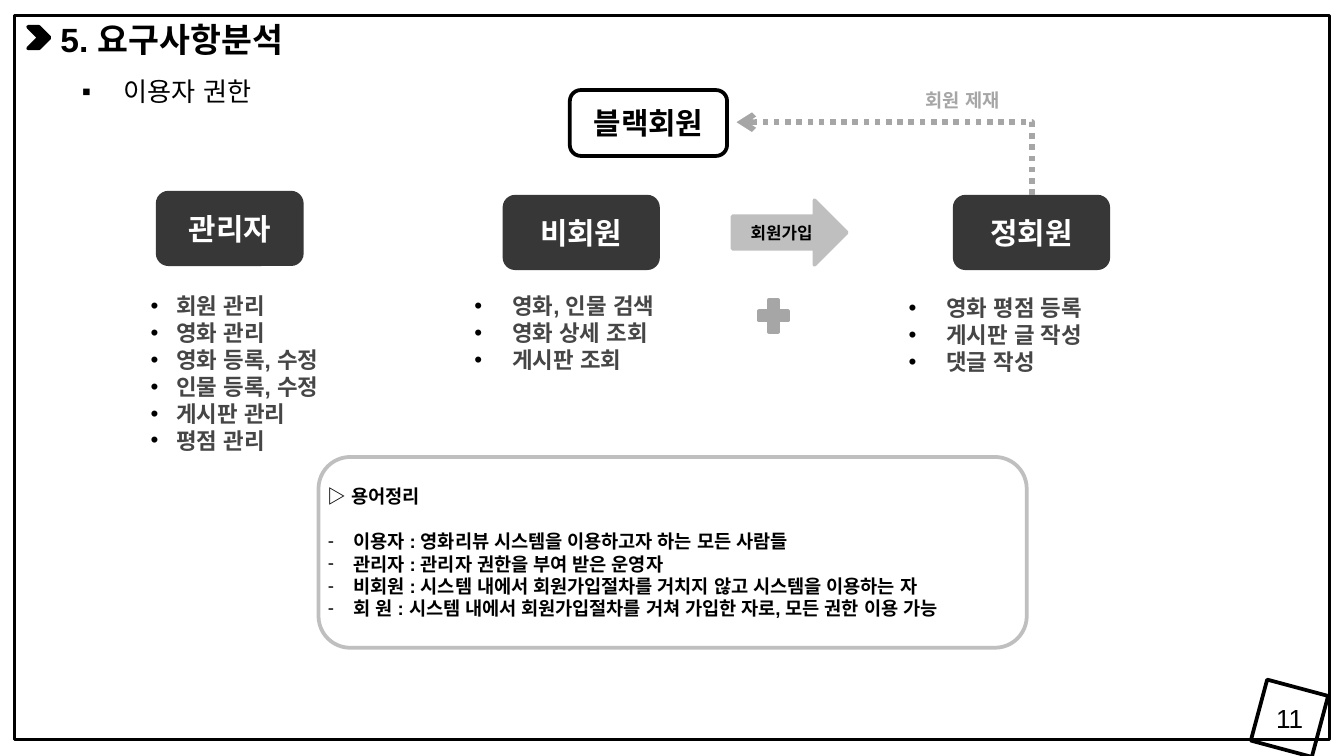
import pptx
import pptx.dml.color
import pptx.enum.dml
import pptx.enum.shapes
import pptx.enum.text
import pptx.oxml
import pptx.oxml.ns
import pptx.util

THEME = {
    "black": "000000", "white": "FFFFFF", "dark": "373737", "body": "464646",
    "gray": "A6A6A6", "light": "BFBFBF",
    "font": "Arial", "korean": "Noto Sans CJK KR",
    "title": 18, "role": 16, "subtitle": 14, "list": 12, "note": 10, "label": 9,
}
COLUMNS, ROWS = 100, 56.25

prs = pptx.Presentation()
prs.slide_width = pptx.util.Inches(10)
prs.slide_height = prs.slide_width * 9 // 16
slide = prs.slides.add_slide(prs.slide_layouts.get_by_name("Comparison"))
shapes = slide.shapes
kinds = pptx.enum.shapes.MSO_SHAPE
align = pptx.enum.text.PP_ALIGN
anchors = pptx.enum.text.MSO_ANCHOR
rgb = pptx.dml.color.RGBColor.from_string
namespace = pptx.oxml.ns.nsdecls("a")


def grid(left, top, width, height):
    column, row = prs.slide_width / COLUMNS, prs.slide_height / ROWS
    return [round(n) for n in (left * column, top * row, width * column, height * row)]


def write(shape, lines, size="list", color="black", font="font", bold=True,
          alignment=align.LEFT, anchor=anchors.TOP, inset=None, wrap=True,
          bullet=None, margin=0, hang=0, first_bullet=0, gap=0):
    frame = shape.text_frame
    frame.word_wrap = wrap
    frame.auto_size = pptx.enum.text.MSO_AUTO_SIZE.NONE
    frame.vertical_anchor = anchor
    if inset is not None:
        frame.margin_left = frame.margin_right = pptx.util.Inches(inset)
        frame.margin_top = frame.margin_bottom = pptx.util.Inches(inset)
    for index, line in enumerate(lines):
        paragraph = frame.add_paragraph() if index else frame.paragraphs[0]
        paragraph.alignment = alignment
        paragraph.space_before = pptx.util.Pt(gap if index == first_bullet else 0)
        properties = paragraph._p.get_or_add_pPr()
        bulleted = bullet and index >= first_bullet
        properties.set("marL", str(pptx.util.Inches(margin if bulleted else 0)))
        properties.set("indent", str(pptx.util.Inches(-hang if bulleted else 0)))
        marks = [f'<a:buClr {namespace}><a:srgbClr val="{THEME["black"]}"/></a:buClr>',
                 f'<a:buFont {namespace} typeface="{THEME["font"]}"/>',
                 f'<a:buChar {namespace} char="{bullet}"/>']
        for mark in marks if bulleted else [f"<a:buNone {namespace}/>"]:
            properties.append(pptx.oxml.parse_xml(mark))
        run = paragraph.add_run()
        run.text = line
        run.font.name = THEME[font]
        run.font.size = pptx.util.Pt(THEME[size])
        run.font.bold = bold
        run.font.color.rgb = rgb(THEME[color])
        run.font._element.append(
            pptx.oxml.parse_xml(f'<a:ea {namespace} typeface="{THEME["font"]}"/>'))


title, subtitle, admin_rights, guest_rights, member_rights = slide.placeholders
wide_bullet = dict(bullet="•", margin=0.36, hang=0.28, color="body")
for holder, place, lines, style in [
    (title, (3.5, 0.9, 51.3, 4), ["5. 요구사항분석"], dict(size="title")),
    (subtitle, (5.1, 5.1, 15.6, 3.4), ["이용자 권한"],
     dict(size="subtitle", font="korean", bold=False, wrap=False,
          bullet="▪", margin=0.31, hang=0.31)),
    (admin_rights, (10.2, 21.25, 15.6, 13.1),
     ["회원 관리", "영화 관리", "영화 등록, 수정", "인물 등록, 수정", "게시판 관리", "평점 관리"],
     dict(color="body", bullet="•", margin=0.19, hang=0.19)),
    (guest_rights, (33.5, 21.25, 19.3, 7.1),
     ["영화, 인물 검색", "영화 상세 조회", "게시판 조회"], wide_bullet),
    (member_rights, (65.8, 21.4, 17.9, 7.1),
     ["영화 평점 등록", "게시판 글 작성", "댓글 작성"], wide_bullet),
]:
    holder.left, holder.top, holder.width, holder.height = grid(*place)
    write(holder, lines, **style)

glossary = [
    "▷ 용어정리",
    "이용자 : 영화리뷰 시스템을 이용하고자 하는 모든 사람들",
    "관리자 : 관리자 권한을 부여 받은 운영자",
    "비회원 : 시스템 내에서 회원가입절차를 거치지 않고 시스템을 이용하는 자",
    "회 원 : 시스템 내에서 회원가입절차를 거쳐 가입한 자로, 모든 권한 이용 가능",
]
centered = dict(alignment=align.CENTER, anchor=anchors.MIDDLE)
role = dict(size="role", color="white", inset=0, **centered)
for kind, place, fill, line, weight, angle, lines, style in [
    (kinds.RECTANGLE, (1.1, 1.15, 97.8, 53.9), None, "black", 1.5, 0, [], {}),
    (kinds.CHEVRON, (2.1, 2, 1.6, 1.6), "black", "black", 2, 0, [], {}),
    (kinds.ROUNDED_RECTANGLE, (11.6, 14.2, 11, 5.6), "dark", None, 0, 0, ["관리자"], role),
    (kinds.ROUNDED_RECTANGLE, (37.4, 14.5, 11.7, 5.6), "dark", None, 0, 0, ["비회원"], role),
    (kinds.ROUNDED_RECTANGLE, (70.9, 14.5, 11.7, 5.6), "dark", None, 0, 0, ["정회원"], role),
    (kinds.ROUNDED_RECTANGLE, (42.4, 6.7, 11.7, 4.9), "white", "black", 2, 0,
     ["블랙회원"], {**role, "color": "black"}),
    (kinds.ROUNDED_RECTANGLE, (23.7, 34, 52.7, 14.2), None, "light", 2, 0, glossary,
     dict(size="note", anchor=anchors.MIDDLE, inset=0, bullet="-", margin=0.19,
          hang=0.19, first_bullet=1, gap=12)),
    (kinds.RIGHT_ARROW, (54.5, 14.9, 8.5, 4.8), "light", "light", 2, 0,
     ["회원가입"], dict(size="label", wrap=False, **centered)),
    (kinds.MATH_PLUS, (56.1, 21.9, 2.9, 3.2), "gray", "gray", 2, 0, [], {}),
    (kinds.RECTANGLE, (93.6, 51.1, 4.7, 4.7), None, "black", 2, 15, [], {}),
]:
    part = shapes.add_shape(kind, *grid(*place))
    part.shadow.inherit = False
    part.rotation = angle
    if fill:
        part.fill.solid()
        part.fill.fore_color.rgb = rgb(THEME[fill])
    else:
        part.fill.background()
    if line:
        part.line.color.rgb = rgb(THEME[line])
        part.line.width = pptx.util.Pt(weight)
    else:
        part.line.fill.background()
    if lines:
        write(part, lines, **style)

for place, words, style in [
    ((67.9, 6.1, 8.5, 2.7), "회원 제재", dict(size="note", color="gray")),
    ((93.4, 51.7, 5.1, 3.4), "11", dict(size="subtitle", bold=False, **centered)),
]:
    write(shapes.add_textbox(*grid(*place)), [words], **style)

ban_path = shapes.add_connector(pptx.enum.shapes.MSO_CONNECTOR.ELBOW,
                                *grid(63.1, 22.8, 68.5, 0.8))
ban_path.line.color.rgb = rgb(THEME["gray"])
ban_path.line.width = pptx.util.Pt(3)
ban_path.line.dash_style = pptx.enum.dml.MSO_LINE.ROUND_DOT
outline = ban_path._element.spPr
outline.xfrm.set("rot", str(270 * 60000))
outline.prstGeom.set("prst", "bentConnector2")
ban_path.line._get_or_add_ln().append(
    pptx.oxml.parse_xml(f'<a:tailEnd {namespace} type="arrow"/>'))
outline.append(pptx.oxml.parse_xml(f"<a:effectLst {namespace}/>"))

prs.save("out.pptx")
